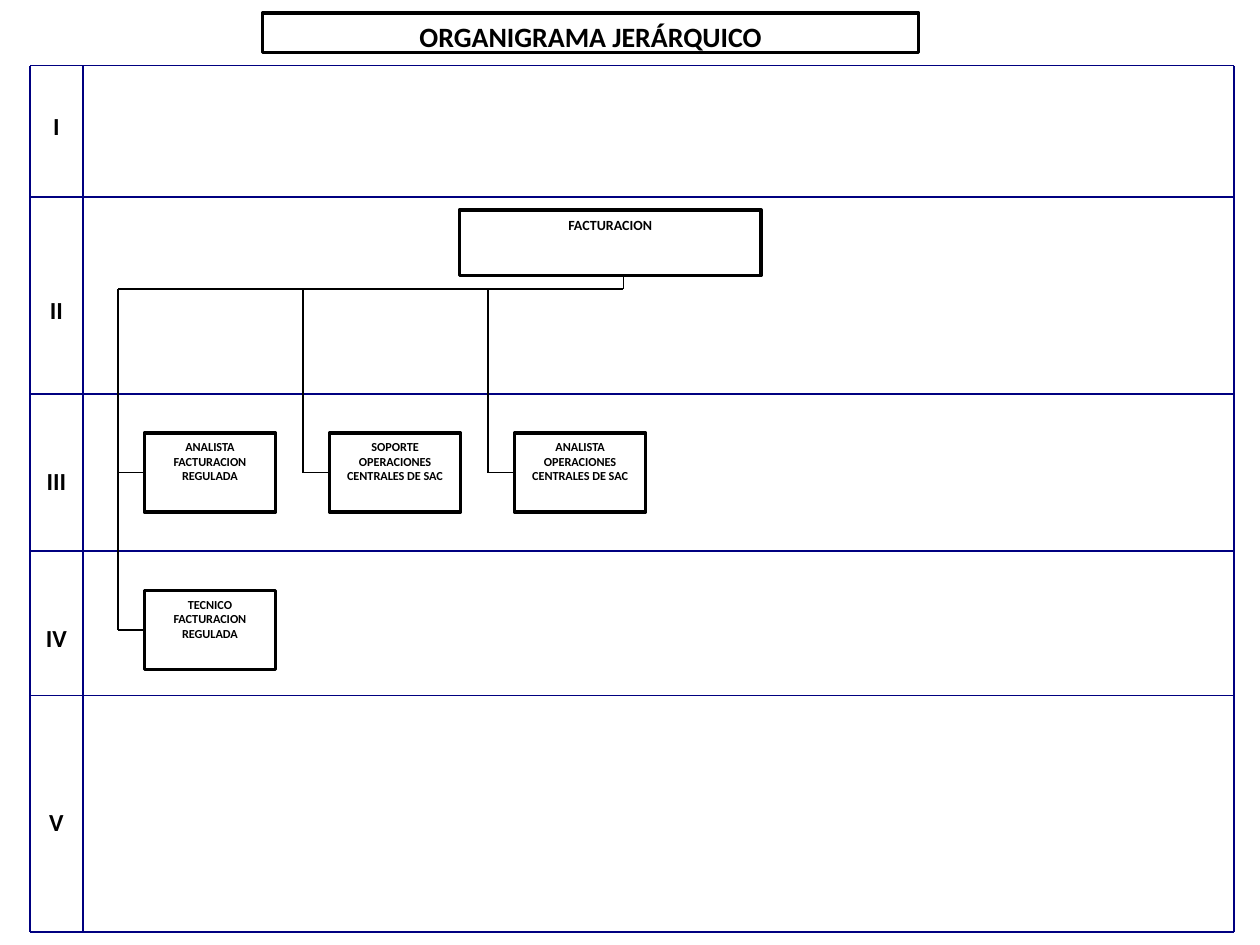
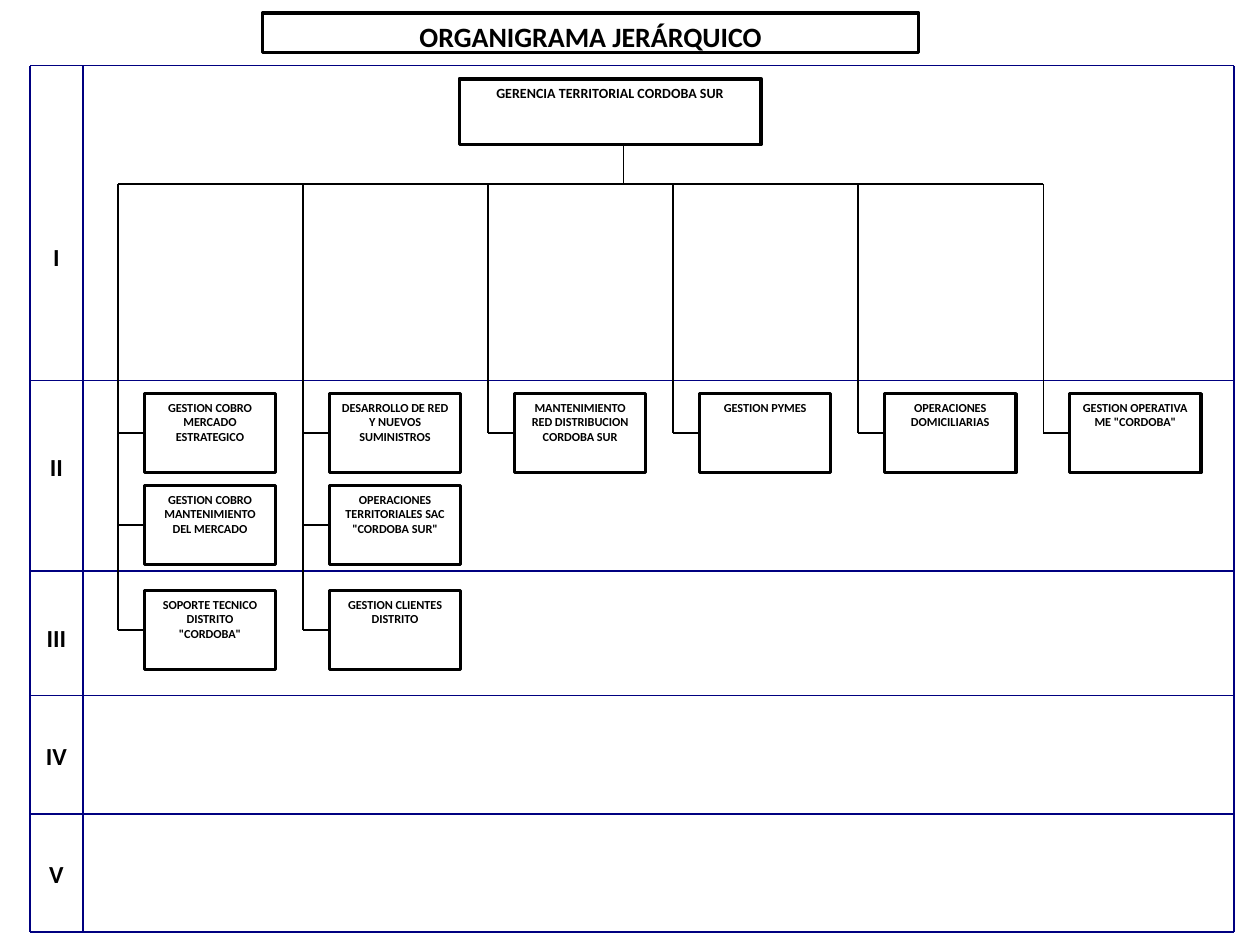
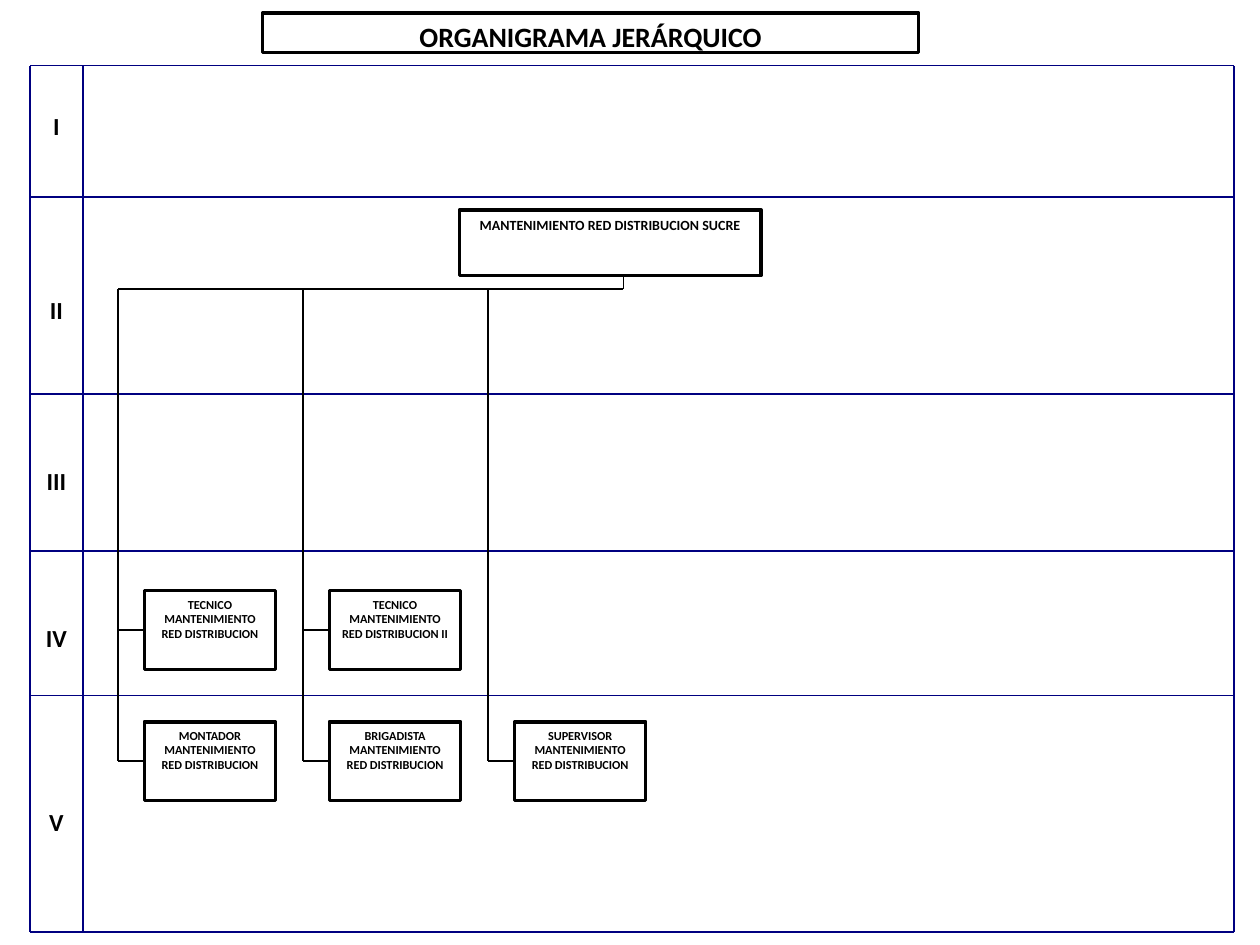
from dataclasses import dataclass

from lxml import etree
from pptx import Presentation
from pptx.dml.color import RGBColor
from pptx.enum.shapes import MSO_CONNECTOR, MSO_SHAPE
from pptx.enum.text import MSO_ANCHOR, MSO_AUTO_SIZE, PP_ALIGN
from pptx.oxml.ns import qn
from pptx.util import Pt

STRAIGHT = MSO_CONNECTOR.STRAIGHT
RECTANGLE = MSO_SHAPE.RECTANGLE
TOP = MSO_ANCHOR.TOP
CENTER = PP_ALIGN.CENTER
FIXED_SIZE = MSO_AUTO_SIZE.NONE
LEFT_SIDE = 1
TITLE_ONLY = 5
PX = 9525  # EMU in one px, 96 px to the inch


@dataclass(frozen=True)
class Theme:
    font: str = "Calibri"
    ink: RGBColor = RGBColor(0x00, 0x00, 0x00)
    grid: RGBColor = RGBColor(0x00, 0x00, 0x80)
    title_size: int = 16
    level_size: int = 14
    head_size: int = 8
    post_size: int = 7
    box_line: int = 2
    thin_line: int = 1


theme = Theme()

# Grid of levels
GRID_LEFT, GRID_SPLIT, GRID_RIGHT = 23, 63, 940
GRID_TOP, GRID_BOTTOM = 50, 710
LEVELS = ["I", "II", "III", "IV", "V"]
LEVEL_HEIGHT = 30

# Head box and columns of posts
HEAD_LEFT, HEAD_WIDTH, HEAD_HEIGHT = 350, 230, 50
STEM_X = 475
FIRST_TRUNK, COLUMN_STEP, BRANCH = 90, 141, 20
POST_WIDTH, POST_HEIGHT = 100, 60

LOWER_HEAD = dict(
    head_top=160, bus=220, dividers=[150, 300, 420, 530],
    level_tops=[80, 220, 350, 470, 610],
)
UPPER_HEAD = dict(
    head_top=60, bus=140, dividers=[290, 435, 530, 620],
    level_tops=[180, 340, 470, 560, 650],
)

# One chart per slide; each column lists its posts as (top, name)
charts = [
    dict(LOWER_HEAD, head="FACTURACION", columns=[
        [(330, "ANALISTA FACTURACION REGULADA"),
         (450, "TECNICO FACTURACION REGULADA")],
        [(330, "SOPORTE OPERACIONES CENTRALES DE SAC")],
        [(330, "ANALISTA OPERACIONES CENTRALES DE SAC")],
    ]),
    dict(UPPER_HEAD, head="GERENCIA TERRITORIAL CORDOBA SUR", columns=[
        [(300, "GESTION COBRO MERCADO ESTRATEGICO"),
         (370, "GESTION COBRO MANTENIMIENTO DEL MERCADO"),
         (450, 'SOPORTE TECNICO DISTRITO "CORDOBA"')],
        [(300, "DESARROLLO DE RED Y NUEVOS SUMINISTROS"),
         (370, 'OPERACIONES TERRITORIALES SAC "CORDOBA SUR"'),
         (450, "GESTION CLIENTES DISTRITO")],
        [(300, "MANTENIMIENTO RED DISTRIBUCION CORDOBA SUR")],
        [(300, "GESTION PYMES")],
        [(300, "OPERACIONES DOMICILIARIAS")],
        [(300, 'GESTION OPERATIVA ME "CORDOBA"')],
    ]),
    dict(LOWER_HEAD, head="MANTENIMIENTO RED DISTRIBUCION SUCRE", columns=[
        [(450, "TECNICO MANTENIMIENTO RED DISTRIBUCION"),
         (550, "MONTADOR MANTENIMIENTO RED DISTRIBUCION")],
        [(450, "TECNICO MANTENIMIENTO RED DISTRIBUCION II"),
         (550, "BRIGADISTA MANTENIMIENTO RED DISTRIBUCION")],
        [(550, "SUPERVISOR MANTENIMIENTO RED DISTRIBUCION")],
    ]),
]


def fill_box(box, place, text, size, outlined=True):
    """Place a box, write its centred bold text and outline it."""
    box.left, box.top, box.width, box.height = [value * PX for value in place]
    frame = box.text_frame
    frame.text = text
    frame.word_wrap = True
    frame.auto_size = FIXED_SIZE
    frame.vertical_anchor = TOP
    para = frame.paragraphs[0]
    para.alignment = CENTER
    font = para.runs[0].font
    font.name, font.size, font.bold = theme.font, Pt(size), True
    font.color.rgb = theme.ink
    if outlined:
        box.shadow.inherit = False
        box.fill.background()
        box.line.color.rgb = theme.ink
        box.line.width = Pt(theme.box_line)
    return box


def draw_line(page, x1, y1, x2, y2, color=theme.ink):
    """Draw a thin straight line without a shadow."""
    line = page.shapes.add_connector(STRAIGHT, x1 * PX, y1 * PX, x2 * PX, y2 * PX)
    line.line.color.rgb = color
    line.line.width = Pt(theme.thin_line)
    etree.SubElement(line._element.spPr, qn("a:effectLst"))
    return line


deck = Presentation()
deck.slide_width, deck.slide_height = 960 * PX, 720 * PX

for chart in charts:
    page = deck.slides.add_slide(deck.slide_layouts[TITLE_ONLY])
    shapes = page.shapes

    # Title
    fill_box(shapes.title, (200, 10, 500, 30), "ORGANIGRAMA JERÁRQUICO", theme.title_size)

    # Level grid
    for y in [GRID_TOP, *chart["dividers"], GRID_BOTTOM]:
        draw_line(page, GRID_LEFT, y, GRID_RIGHT, y, theme.grid)
    for x in [GRID_LEFT, GRID_SPLIT, GRID_RIGHT]:
        draw_line(page, x, GRID_TOP, x, GRID_BOTTOM, theme.grid)
    for level, top in zip(LEVELS, chart["level_tops"]):
        place = (GRID_LEFT, top, GRID_SPLIT - GRID_LEFT, LEVEL_HEIGHT)
        fill_box(shapes.add_textbox(0, 0, 0, 0), place, level, theme.level_size, outlined=False)

    # Head box, stem and bus
    head_top, bus = chart["head_top"], chart["bus"]
    place = (HEAD_LEFT, head_top, HEAD_WIDTH, HEAD_HEIGHT)
    fill_box(shapes.add_shape(RECTANGLE, 0, 0, 0, 0), place, chart["head"], theme.head_size)
    draw_line(page, STEM_X, head_top + HEAD_HEIGHT, STEM_X, bus)
    last_trunk = FIRST_TRUNK + (len(chart["columns"]) - 1) * COLUMN_STEP
    draw_line(page, FIRST_TRUNK, bus, max(STEM_X, last_trunk), bus)

    # Columns of posts, each hanging from its trunk
    for index, posts in enumerate(chart["columns"]):
        trunk = FIRST_TRUNK + index * COLUMN_STEP
        for top, name in posts:
            place = (trunk + BRANCH, top, POST_WIDTH, POST_HEIGHT)
            box = fill_box(shapes.add_shape(RECTANGLE, 0, 0, 0, 0), place, name, theme.post_size)
            middle = top + POST_HEIGHT // 2
            branch = draw_line(page, trunk, middle, trunk + BRANCH, middle)
            branch.end_connect(box, LEFT_SIDE)
        draw_line(page, trunk, bus, trunk, middle)

deck.save("out.pptx")
